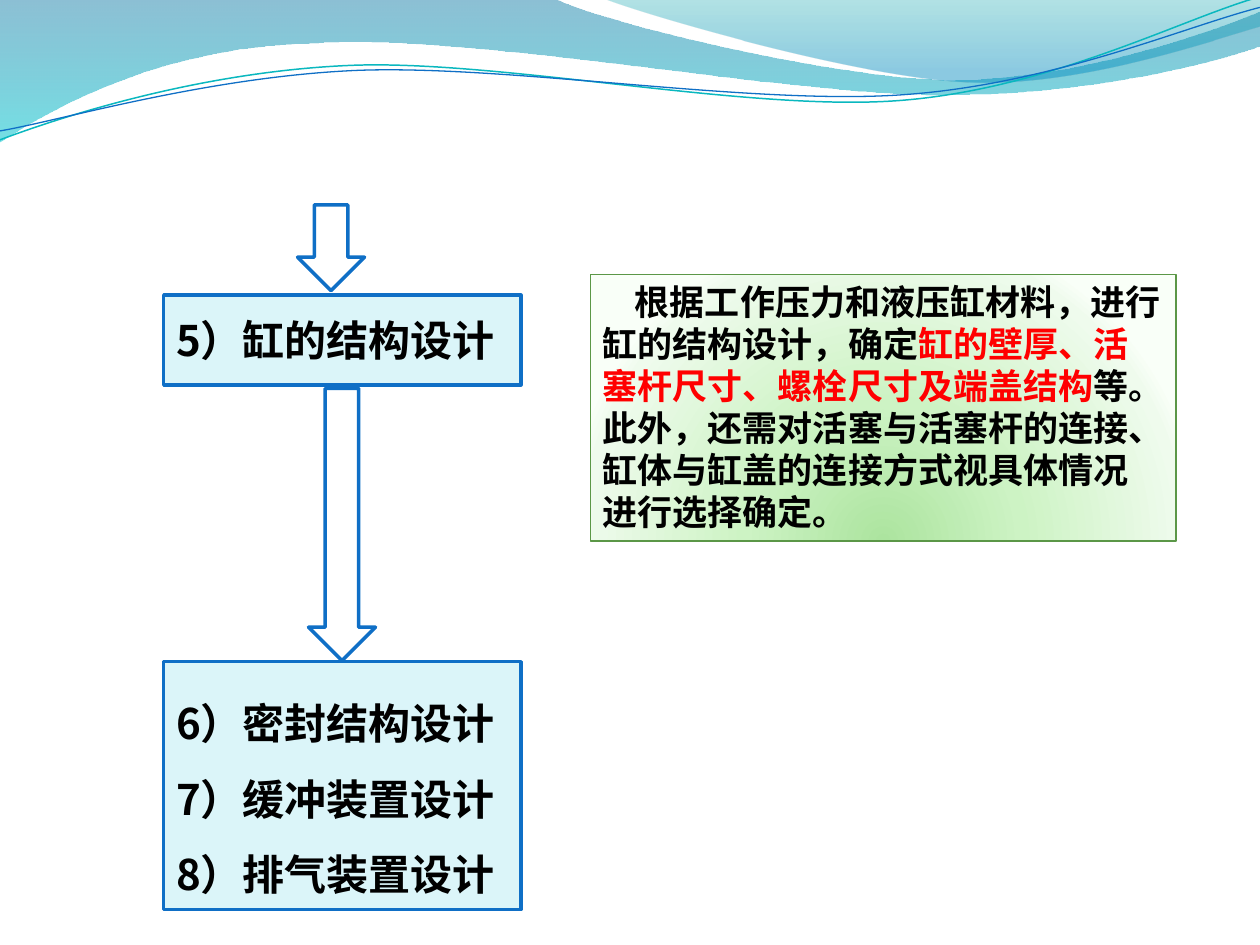
from lxml import etree
from pptx import Presentation
from pptx.dml.color import RGBColor
from pptx.enum.lang import MSO_LANGUAGE_ID
from pptx.enum.shapes import MSO_SHAPE
from pptx.enum.text import MSO_ANCHOR, PP_ALIGN
from pptx.oxml import parse_xml
from pptx.oxml.ns import qn
from pptx.util import Cm, Pt

RECTANGLE, DOWN_ARROW = MSO_SHAPE.RECTANGLE, MSO_SHAPE.DOWN_ARROW
TOP, MIDDLE = MSO_ANCHOR.TOP, MSO_ANCHOR.MIDDLE
LEFT = PP_ALIGN.LEFT
CHINESE = MSO_LANGUAGE_ID.SIMPLIFIED_CHINESE
FONT = "Noto Sans CJK SC"
NAMESPACE = 'xmlns:a="http://schemas.openxmlformats.org/drawingml/2006/main"'
DOWNWARD = '<a:lin ang="5400000" scaled="1"/>'
RADIAL = ('<a:path path="circle"><a:fillToRect l="50000" t="130000" '
          'r="50000" b="-30000"/></a:path>')
BLUE, PALE_BLUE, BLACK, RED, WHITE = "0F6FC6", "DBF5F9", "000000", "FF0000", "FFFFFF"

BAND = [
    [(0, 0)], [(11.18, -0.03)],
    [(12.09, 0.43), (16.87, 1.6), (19.25, 1.6)],
    [(21.67, 1.6), (24.33, 0.66), (25.4, 0.23)],
    [(25.43, 0.91)],
    [(24.97, 1.12), (22.1, 1.93), (18.95, 1.91)],
    [(15.8, 1.91), (9.7, 0.71), (6.53, 0.86)],
    [(3.28, 0.91), (1.17, 2.11), (-0.03, 2.87)],
]
WEDGE = [
    [(12.17, -0.03)],
    [(12.93, 0.28), (17.32, 1.57), (19.53, 1.65)],
    [(21.74, 1.75), (24.41, 0.81), (25.4, 0.53)],
    [(25.4, 0)],
]
TEAL_LINE = [
    [(0, 2.82)],
    [(1.22, 2.36), (4.01, 1.45), (7.04, 1.32)],
    [(10.03, 1.19), (15.06, 2.26), (18.11, 2.03)],
    [(21.16, 1.8), (23.83, 0.38), (25.35, -0.05)],
]
BLUE_LINE = [
    [(0, 2.64)],
    [(1.19, 2.44), (4.17, 1.55), (7.19, 1.42)],
    [(10.24, 1.3), (15.16, 2.13), (18.21, 1.91)],
    [(21.23, 1.7), (23.9, 0.53), (25.4, 0.15)],
]


def color(value):
    """Turn a hex string into a colour."""
    return RGBColor.from_string(value)


def style(shape, fill=None, line=None, width=2):
    """Set a plain fill and outline, leaving out whichever is None."""
    shape.shadow.inherit = False
    if fill:
        shape.fill.solid()
        shape.fill.fore_color.rgb = color(fill)
    else:
        shape.fill.background()
    if line:
        shape.line.color.rgb = color(line)
        shape.line.width = Pt(width)
    else:
        shape.line.fill.background()


def set_gradient(shape, stops, direction):
    """Fill a shape with (position, colour, opacity) stops in percent."""
    marks = ""
    for position, value, opacity in stops:
        alpha = f'<a:alpha val="{opacity * 1000}"/>' if opacity < 100 else ""
        marks += (f'<a:gs pos="{position * 1000}"><a:srgbClr val="{value}">'
                  f'{alpha}</a:srgbClr></a:gs>')
    gradient = parse_xml(f'<a:gradFill {NAMESPACE} rotWithShape="1">'
                         f'<a:gsLst>{marks}</a:gsLst>{direction}</a:gradFill>')
    shape.fill.solid()
    properties = shape._element.spPr
    properties.replace(properties.find(qn("a:solidFill")), gradient)


def add_text(para, text, size=24, value=BLACK, bold=True):
    """Append one formatted span to a paragraph."""
    span = para.add_run()
    span.text = text
    span.font.name = FONT
    span.font.size = Pt(size)
    span.font.bold = bold
    span.font.color.rgb = color(value)
    span.font.language_id = CHINESE
    etree.SubElement(span.font._element, qn("a:ea"), typeface=FONT)


def add_curve(page, box, segments, close):
    """Draw straight and cubic segments relative to the corner of a box."""
    left, top = box[:2]
    points = [(Cm(left + x), Cm(top + y)) for segment in segments for x, y in segment]
    builder = page.shapes.build_freeform(*points[0])
    builder.add_line_segments(points[1:], close=close)
    shape = builder.convert_to_shape()
    strokes = iter(list(shape._element.iter(qn("a:lnTo"))))
    for segment in segments[1:]:
        parts = [next(strokes) for _ in segment]
        if len(parts) == 3:
            parts[0].addprevious(curve := etree.Element(qn("a:cubicBezTo")))
            for part in parts:
                curve.append(part[0])
                part.getparent().remove(part)
    return shape


def add_shape(page, kind, box):
    """Add a preset shape in a box given in centimetres."""
    return page.shapes.add_shape(kind, *map(Cm, box))


def add_waves(page, box):
    """Draw the translucent waves and thin lines along the top."""
    for segments, stops in (
            (BAND, [(0, "0074A1", 45), (100, "00C6CF", 55)]),
            (WEDGE, [(0, "00A1A9", 30), (80, "008BBF", 45)])):
        wave = add_curve(page, box, segments, True)
        style(wave)
        set_gradient(wave, stops, DOWNWARD)
    for segments, value, width in ((TEAL_LINE, "0AB8BF", 0.85), (BLUE_LINE, BLUE, 0.75)):
        style(add_curve(page, box, segments, False), line=value, width=width)


def add_step(page, box, lines, spacing=1.0):
    """Draw one step of the flow with a paragraph for each line."""
    step = add_shape(page, RECTANGLE, box)
    style(step, PALE_BLUE, BLUE)
    frame = step.text_frame
    frame.word_wrap = True
    frame.vertical_anchor = MIDDLE
    for index, text in enumerate(lines):
        para = frame.add_paragraph() if index else frame.paragraphs[0]
        para.alignment = LEFT
        para.line_spacing = spacing
        add_text(para, text)


def add_flow(page, box):
    """Draw the column of arrows and design steps."""
    left, top, width, _ = box
    add_step(page, (left, top + 1.82, width, 1.81), ["5）缸的结构设计"])
    for x, y, height in ((2.92, 3.7, 5.49), (2.7, 0, 1.73)):
        arrow = add_shape(page, DOWN_ARROW, (left + x, top + y, 1.35, height))
        style(arrow, WHITE, BLUE)
    add_step(page, (left, top + 9.21, width, 5),
             ["6）密封结构设计", "7）缓冲装置设计", "8）排气装置设计"], 1.5)


def add_note(page, box):
    """Draw the green note that explains the structural design."""
    note = add_shape(page, RECTANGLE, box)
    style(note, WHITE, "5B9747", 0.75)
    set_gradient(note, [(0, "ACE49F", 100), (43, "CDF3C4", 100),
                        (93, "EFFBED", 100), (100, "F9FFF8", 100)], RADIAL)
    frame = note.text_frame
    frame.word_wrap = True
    frame.vertical_anchor = TOP
    para = frame.paragraphs[0]
    para.alignment = LEFT
    para._p.get_or_add_pPr().set("indent", str(Cm(0.65)))
    for text, value in (
            ("根据工作压力和液压缸材料，进行缸的结构设计，确定", BLACK),
            ("缸的壁厚、活塞杆尺寸、螺栓尺寸及端盖结构", RED),
            ("等。此外，还需对活塞与活塞杆的连接、缸体与缸盖的连接方式视具体情况进行选择确定。", BLACK)):
        add_text(para, text, size=20, value=value)


def main():
    """Build the slide and save it."""
    deck = Presentation()
    deck.slide_width, deck.slide_height = Cm(25.4), Cm(19.05)
    page = deck.slides.add_slide(deck.slide_layouts[6])
    add_waves(page, (0, 0, 25.4, 2.9))
    add_flow(page, (3.3, 4.13, 7.2, 14.21))
    add_note(page, (11.9, 5.53, 11.81, 5.38))
    deck.save("out.pptx")


if __name__ == "__main__":
    main()
